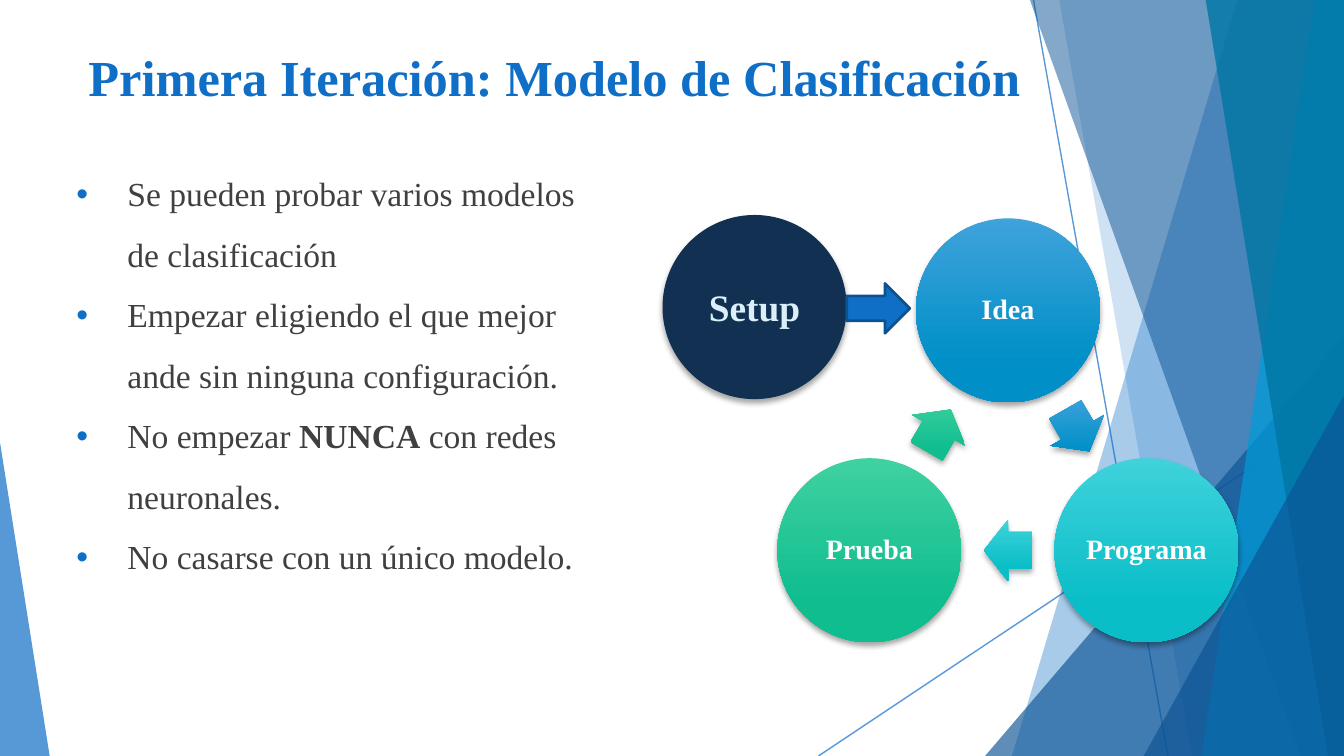
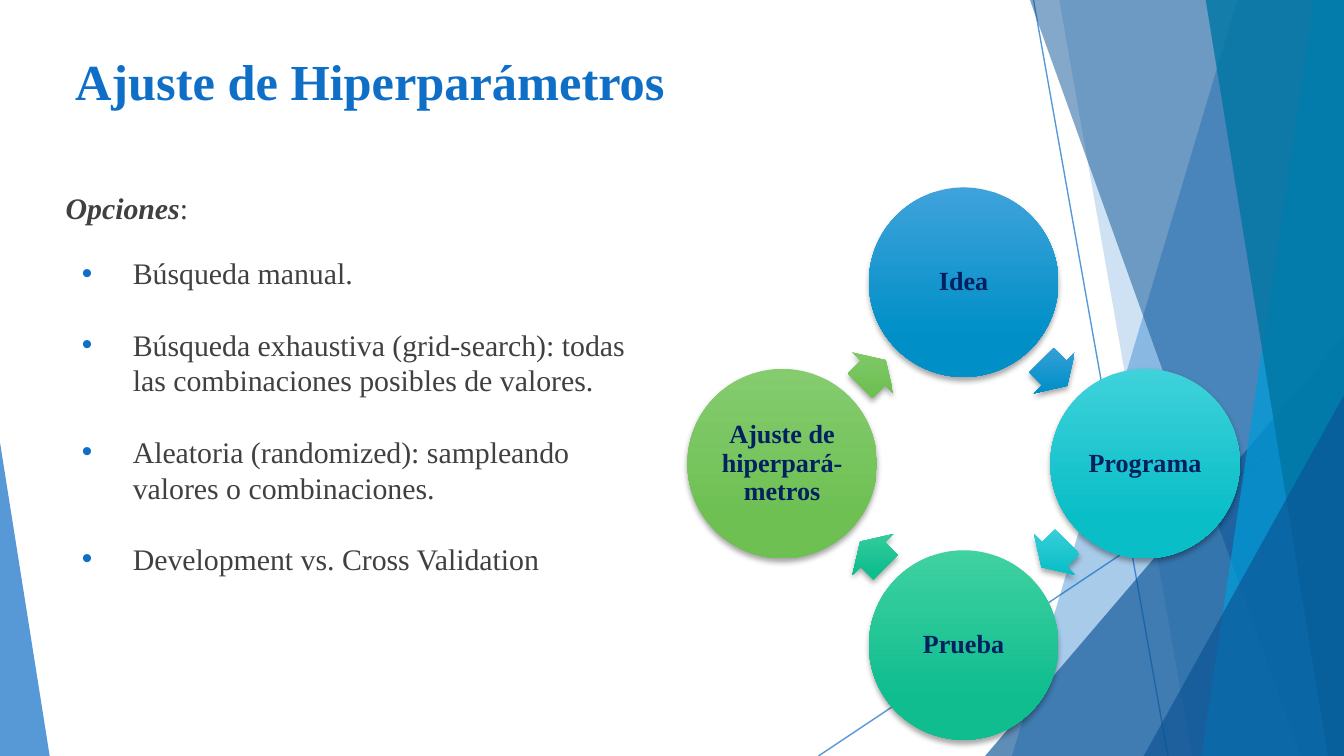
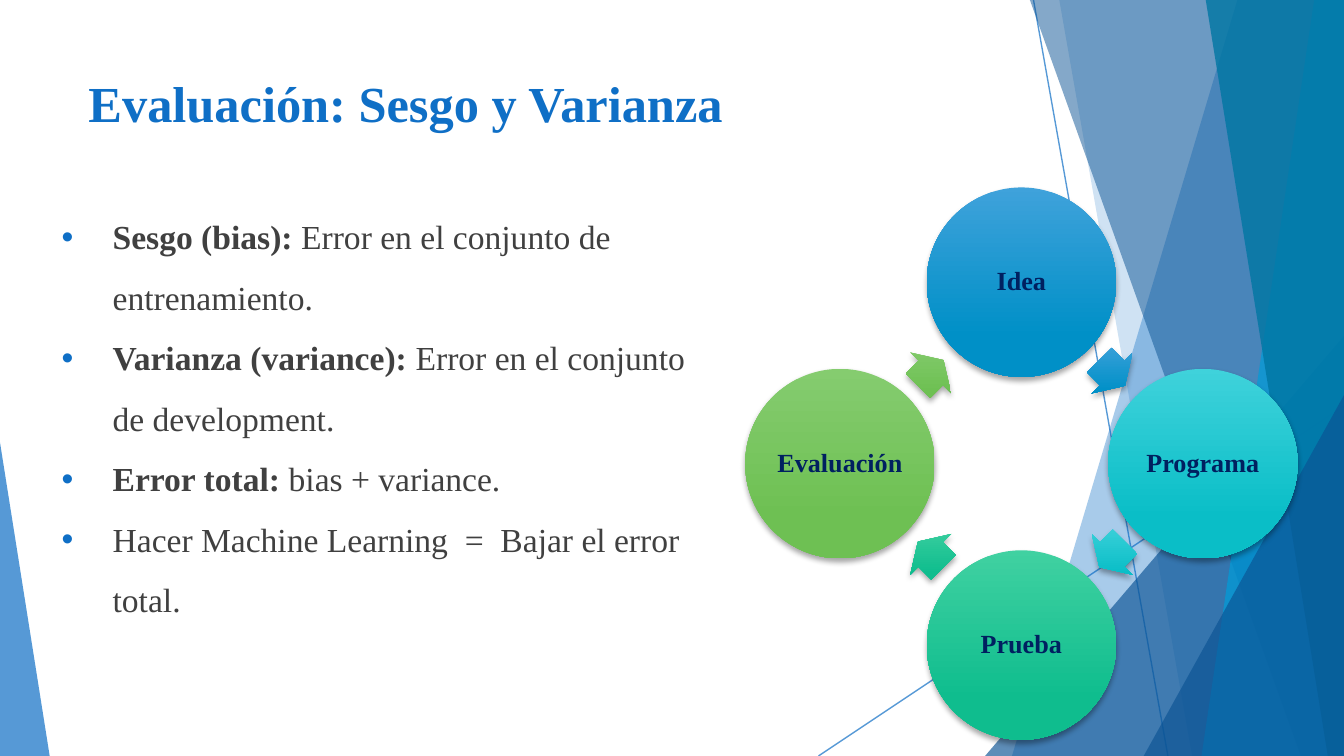
from math import cos, pi, sin
from lxml.etree import SubElement as Sub
from pptx import Presentation
from pptx.dml.color import RGBColor
from pptx.enum.shapes import MSO_CONNECTOR as Link, MSO_SHAPE as Kind
from pptx.enum.text import MSO_ANCHOR as Anchor, PP_ALIGN as Align
from pptx.oxml.ns import qn
from pptx.util import Inches, Pt

rgb = RGBColor.from_string
WIDE, HIGH = 10, 5.625
BLUE, DEEP, GRAY, NAVY = "0F6FC6", "0B5394", "404040", "002060"
SKY, AQUA = ("3FA2DB", "0090C7"), ("3FD2DB", "0ABEC7")
MINT, LEAF = ("40D1A1", "0FBD8E"), ("85CC6F", "6EC053")

BANDS = [
    ("band", 9.21, 7.53, BLUE, 36),
    ("band", 7.88, 8.87, BLUE, 20),
    ("peak", 7.33, 2.5, DEEP, 66),
    ("band", 7.66, 9.68, DEEP, 50),
    ("band", 9.78, 8.94, "009DD9", 70),
    ("band", 8.97, 9.88, "0076A3", 80),
    ("peak", 8.51, 2.94, DEEP, 66),
]

PAGES = [
    {
        "title": ("Primera Iteración: Modelo de Clasificación", 0.56, 0.29, 7.49, 0.6),
        "box": (0.35, 1.04, 4.27, 3.75),
        "lines": [
            "Se pueden probar varios modelos de clasificación",
            "Empezar eligiendo el que mejor ande sin ninguna configuración.",
            "No empezar *NUNCA* con redes neuronales.",
            "No casarse con un único modelo.",
        ],
        "text": (18, 0.1, 1.5, 0),
        "ring": (7.5, 3.5, 1.19, 1.37),
        "arrow": (0.36, 0.46),
        "label": (15, "FFFFFF"),
        "steps": [("Idea", SKY), ("Programa", AQUA), ("Prueba", MINT)],
    },
    {
        "title": ("Ajuste de Hiperparámetros", 0.46, 0.43, 7.05, 0.49),
        "box": (0.39, 1.36, 4.48, 3.6),
        "lines": [
            "*Opciones*:",
            "Búsqueda manual.",
            "Búsqueda exhaustiva (grid-search): todas las combinaciones posibles de valores.",
            "Aleatoria (randomized): sampleando valores o combinaciones.",
            "Development vs. Cross Validation",
        ],
        "text": (16, None, 1, 19),
        "ring": (7.17, 3.45, 1.35, 1.41),
        "arrow": (0.27, 0.43),
        "label": (14, NAVY),
        "steps": [("Idea", SKY), ("Programa", AQUA), ("Prueba", MINT),
                  ("Ajuste de hiperpará-metros", LEAF)],
    },
    {
        "title": ("Evaluación: Sesgo y Varianza", 0.56, 0.5, 7.05, 0.59),
        "box": (0.24, 1.36, 5.13, 4.08),
        "lines": [
            "*Sesgo (bias):* Error en el conjunto de entrenamiento.",
            "*Varianza (variance):* Error en el conjunto de development.",
            "*Error total:* bias + variance.",
            "Hacer Machine Learning  =  Bajar el error total.",
        ],
        "text": (18, 0.1, 1.5, 0),
        "ring": (7.6, 3.45, 1.35, 1.41),
        "arrow": (0.27, 0.43),
        "label": (14, NAVY),
        "steps": [("Idea", SKY), ("Programa", AQUA), ("Prueba", MINT),
                  ("Evaluación", LEAF)],
    },
]


def paint(shape, tones, alpha=None, shade=False):
    fill = shape.fill
    props = shape._element.spPr
    if len(tones) == 2:
        fill.gradient()
        fill.gradient_angle = 270
        for stop, tone, spot in zip(fill.gradient_stops, tones, (0, 0.78)):
            stop.color.rgb = rgb(tone)
            stop.position = spot
        props.find(qn("a:gradFill")).set("rotWithShape", "0")
    else:
        fill.solid()
        fill.fore_color.rgb = rgb(tones[0])
    if alpha:
        tint = props.find(".//" + qn("a:srgbClr"))
        Sub(tint, qn("a:alpha"), val=str(alpha * 1000))
    shape.line.fill.background()
    shape.shadow.inherit = False
    if shade:
        glow = Sub(props.find(qn("a:effectLst")), qn("a:outerShdw"), blurRad="38100",
                   dist="25400", dir="5400000", rotWithShape="0")
        Sub(Sub(glow, qn("a:srgbClr"), val="000000"), qn("a:alpha"), val="35000")


def write(shape, lines, size, tone, inset, anchor=Anchor.TOP):
    frame = shape.text_frame
    frame.word_wrap = True
    frame.vertical_anchor = anchor
    if inset is not None:
        frame.margin_left = frame.margin_right = Inches(inset)
        frame.margin_top = frame.margin_bottom = Inches(inset)
    frame.text = "\n".join(line.replace("*", "") for line in lines)
    for par, line in zip(frame.paragraphs, lines):
        par.text = ""
        for spot, part in enumerate(line.split("*")):
            if part:
                run = par.add_run()
                run.text = part
                font = run.font
                font.name, font.size = "Times New Roman", Pt(size)
                font.bold = spot % 2 == 1
                font.color.rgb = rgb(tone)
    return frame.paragraphs


deck = Presentation()
deck.slide_width, deck.slide_height = Inches(WIDE), Inches(HIGH)

for page in PAGES:
    slide = deck.slides.add_slide(deck.slide_layouts[6])
    shapes = slide.shapes

    for ends in ((7.69, 0, 8.69, HIGH), (WIDE, 3.02, 6.09, HIGH)):
        ray = shapes.add_connector(Link.STRAIGHT, *map(Inches, ends))
        ray.line.width = Pt(0.75)
        ray.line.color.rgb = rgb(BLUE)
        props = ray._element.spPr
        Sub(props.find(".//" + qn("a:srgbClr")), qn("a:alpha"), val="70000")
        Sub(props, qn("a:effectLst"))

    for kind, one, two, tone, alpha in BANDS:
        if kind == "band":
            path = shapes.build_freeform(Inches(one), Inches(-0.01), 1)
            path.add_line_segments([(Inches(x), Inches(y)) for x, y in
                                    ((WIDE, -0.01), (WIDE, HIGH), (two, HIGH))])
            shape = path.convert_to_shape()
        else:
            shape = shapes.add_shape(Kind.ISOSCELES_TRIANGLE, Inches(one), Inches(two),
                                     Inches(WIDE - one), Inches(HIGH - two))
            shape.adjustments[0] = 1
        paint(shape, [tone], alpha)
    wedge = shapes.add_shape(Kind.ISOSCELES_TRIANGLE, 0, Inches(3.29),
                             Inches(0.37), Inches(HIGH - 3.29))
    wedge.adjustments[0] = 0
    paint(wedge, [BLUE], 70)

    title, *place = page["title"]
    head = shapes.add_textbox(*map(Inches, place))
    write(head, [f"*{title}*"], 27, BLUE, 0.1, Anchor.BOTTOM)

    size, inset, space, after = page["text"]
    lines = page["lines"]
    lead = int(lines[0].endswith(":"))
    body = shapes.add_textbox(*map(Inches, page["box"]))
    for spot, par in enumerate(write(body, lines, size, GRAY, inset)):
        par.line_spacing = space
        if spot < lead:
            par.runs[0].font.italic = True
            continue
        par.space_before = Pt(16 if spot == lead else 0)
        par.space_after = Pt(after)
        props = par._p.get_or_add_pPr()
        props.set("marL", str(Inches(0.5)))
        props.set("indent", str(Inches(-0.38)))
        Sub(Sub(props, qn("a:buClr")), qn("a:srgbClr"), val=BLUE)
        Sub(props, qn("a:buFont"), typeface="Arial")
        Sub(props, qn("a:buChar"), char="•")

    if page is PAGES[0]:
        setup = shapes.add_shape(Kind.OVAL, *map(Inches, (4.93, 1.6, 1.37, 1.37)))
        paint(setup, ["113052"], shade=True)
        write(setup, ["*Setup*"], 20, "DBEFF9", 0, Anchor.MIDDLE)[0].alignment = Align.CENTER
        start = shapes.add_shape(Kind.RIGHT_ARROW, *map(Inches, (6.3, 2.11, 0.47, 0.37)))
        paint(start, [BLUE])
        start.line.color.rgb = rgb("0B5292")
        start.line.width = Pt(1.5)

    midx, midy, reach, disc = page["ring"]
    long, tall = page["arrow"]
    count = len(page["steps"])
    for spot, (name, tones) in enumerate(page["steps"]):
        turn = 2 * pi * spot / count
        x, y = midx + reach * sin(turn), midy - reach * cos(turn)
        step = shapes.add_shape(Kind.OVAL, Inches(x - disc / 2), Inches(y - disc / 2),
                                Inches(disc), Inches(disc))
        paint(step, tones, shade=True)
        par = write(step, [f"*{name}*"], *page["label"], 0.02, Anchor.MIDDLE)[0]
        par.alignment = Align.CENTER
        par.line_spacing = 0.9

        turn += pi / count
        near = reach * cos(pi / count)
        x, y = midx + near * sin(turn), midy - near * cos(turn)
        arrow = shapes.add_shape(Kind.RIGHT_ARROW, Inches(x - long / 2), Inches(y - tall / 2),
                                 Inches(long), Inches(tall))
        arrow.adjustments[0], arrow.adjustments[1] = 0.6, 0.5
        arrow.rotation = 360 / count * (spot + 0.5)
        paint(arrow, tones, shade=True)

deck.save("out.pptx")
